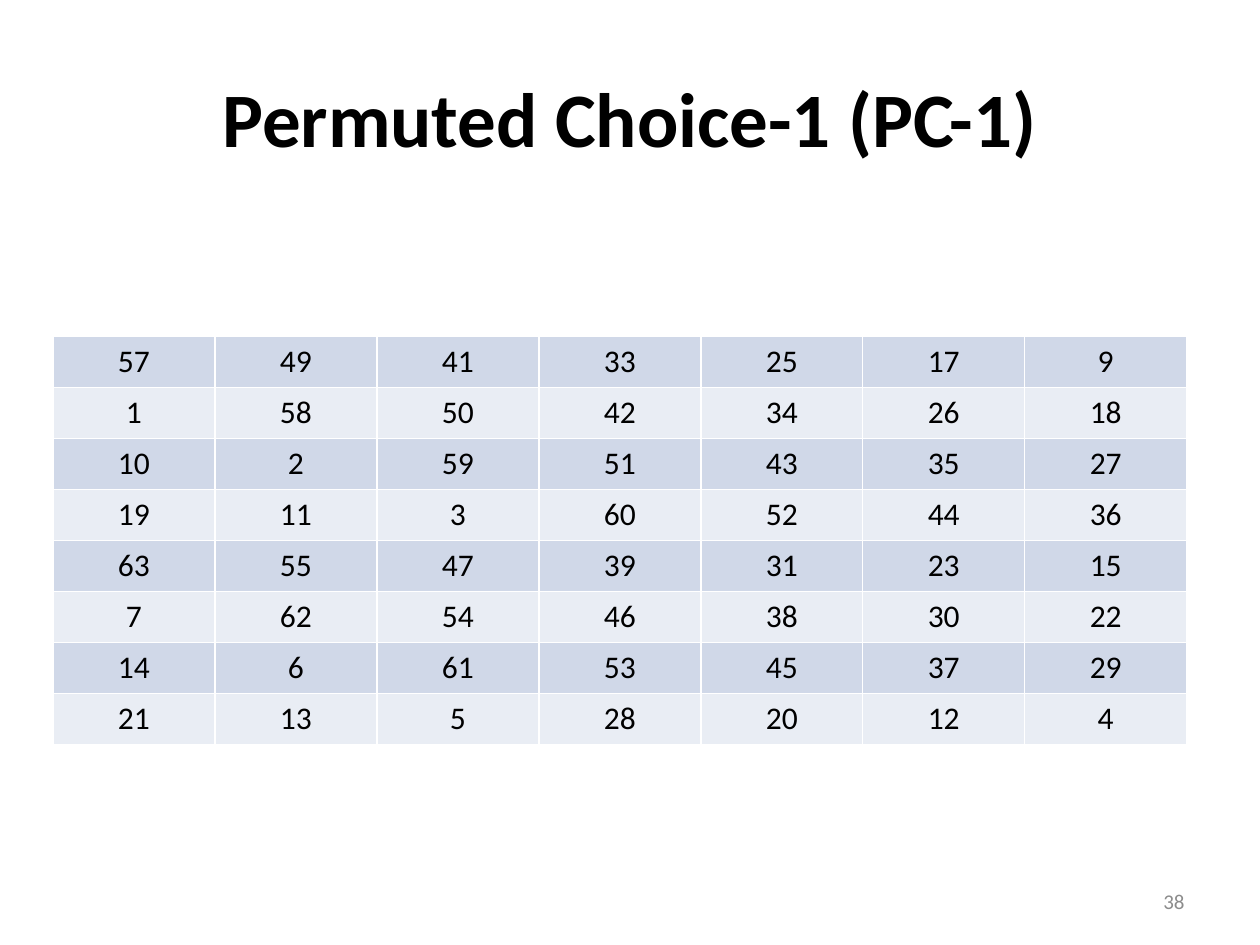
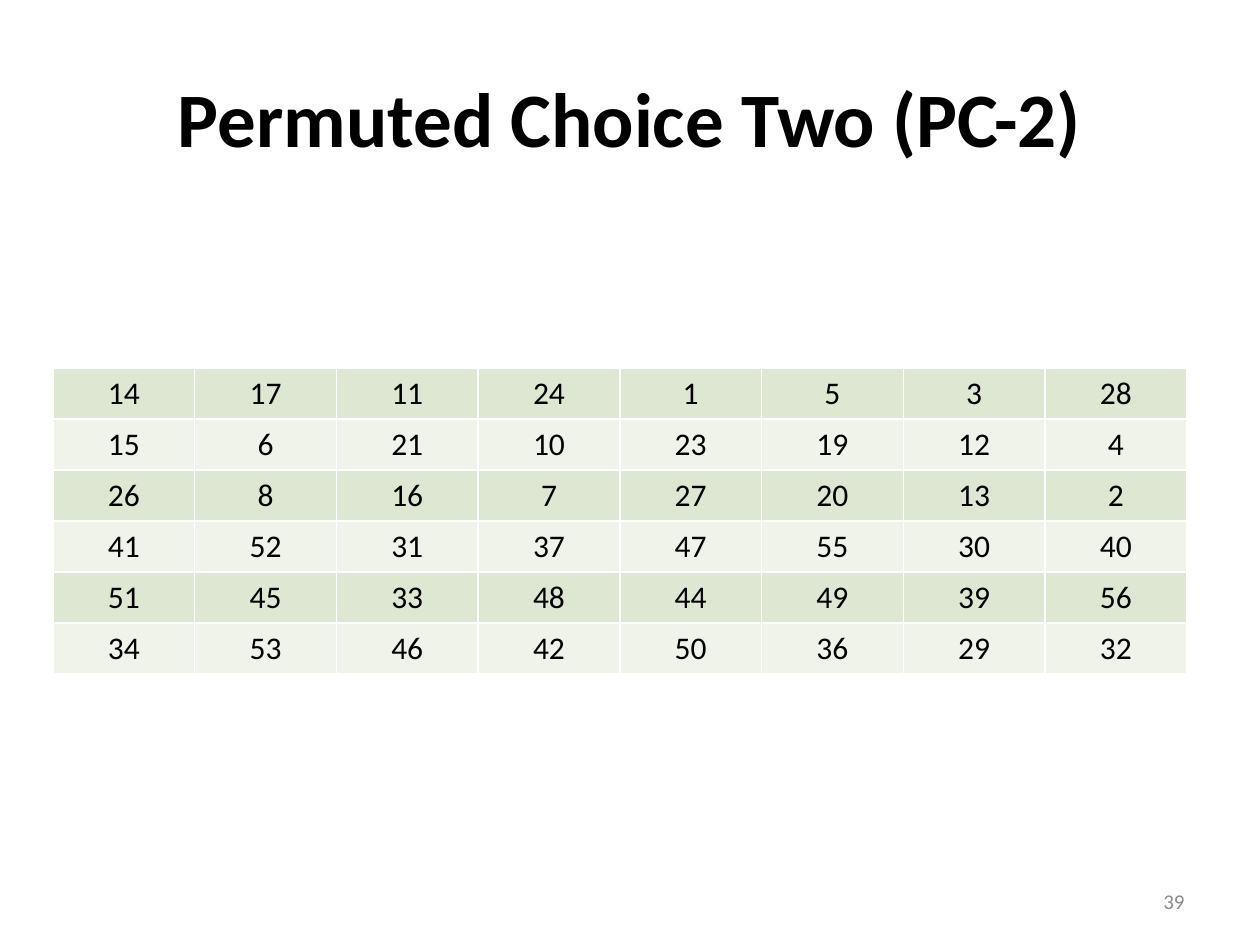
from dataclasses import dataclass

from lxml.etree import SubElement
from pptx import Presentation
from pptx.dml.color import RGBColor as RGB
from pptx.enum.text import MSO_ANCHOR as Anchor, PP_ALIGN as Align
from pptx.oxml.ns import qn
from pptx.util import Inches, Pt


@dataclass(frozen=True)
class Theme:
    font: str = "Calibri"
    ink: str = "000000"
    muted: str = "8C8C8C"
    paper: str = "FFFFFF"
    blue_bands: tuple = ("D0D8E8", "E9EDF4")
    green_bands: tuple = ("DEE7D1", "EFF3EA")
    title_size: int = 44
    table_size: int = 18
    number_size: int = 12
    border_width: int = 1


THEME = Theme()
TABLE_LEFT, TABLE_WIDTH, ROW_HEIGHT = 0.42, 9, 0.405

PC1_BITS = [
    [57, 49, 41, 33, 25, 17, 9],
    [1, 58, 50, 42, 34, 26, 18],
    [10, 2, 59, 51, 43, 35, 27],
    [19, 11, 3, 60, 52, 44, 36],
    [63, 55, 47, 39, 31, 23, 15],
    [7, 62, 54, 46, 38, 30, 22],
    [14, 6, 61, 53, 45, 37, 29],
    [21, 13, 5, 28, 20, 12, 4],
]
PC2_BITS = [
    [14, 17, 11, 24, 1, 5, 3, 28],
    [15, 6, 21, 10, 23, 19, 12, 4],
    [26, 8, 16, 7, 27, 20, 13, 2],
    [41, 52, 31, 37, 47, 55, 30, 40],
    [51, 45, 33, 48, 44, 49, 39, 56],
    [34, 53, 46, 42, 50, 36, 29, 32],
]
PAGES = [
    (38, "Permuted Choice-1 (PC-1)", PC1_BITS, 2.67, THEME.blue_bands),
    (39, "Permuted Choice Two (PC-2)", PC2_BITS, 2.92, THEME.green_bands),
]


def write(frame, text, size, align, color=THEME.ink, bold=False):
    """Put one styled paragraph into the text frame of a box or cell."""
    para = frame.paragraphs[0]
    para.text = text
    para.alignment = align
    para.font.name = THEME.font
    para.font.size = Pt(size)
    para.font.bold = bold
    para.font.color.rgb = RGB.from_string(color)


def add_borders(cell):
    properties = cell._tc.get_or_add_tcPr()
    for side in ("a:lnL", "a:lnR", "a:lnT", "a:lnB"):
        line = SubElement(properties, qn(side), w=str(Pt(THEME.border_width)))
        fill = SubElement(line, qn("a:solidFill"))
        SubElement(fill, qn("a:srgbClr"), val=THEME.paper)


deck = Presentation()
deck.slide_width, deck.slide_height = Inches(10), Inches(7.5)
blank = deck.slide_layouts[6]

for number, title, bits, table_top, bands in PAGES:
    page = deck.slides.add_slide(blank)
    page.background.fill.solid()
    page.background.fill.fore_color.rgb = RGB.from_string(THEME.paper)

    title_box = page.shapes.add_textbox(Inches(0.5), Inches(0.3), Inches(9), Inches(1.25))
    write(title_box.text_frame, title, THEME.title_size, Align.CENTER, bold=True)

    row_count, column_count = len(bits), len(bits[0])
    table = page.shapes.add_table(
        row_count, column_count, Inches(TABLE_LEFT), Inches(table_top),
        Inches(TABLE_WIDTH), Inches(ROW_HEIGHT * row_count),
    ).table
    table.first_row = False
    for row_index, row in enumerate(bits):
        for column_index, bit in enumerate(row):
            cell = table.cell(row_index, column_index)
            write(cell.text_frame, str(bit), THEME.table_size, Align.CENTER)
            add_borders(cell)
            cell.fill.solid()
            cell.fill.fore_color.rgb = RGB.from_string(bands[row_index % 2])

    number_box = page.shapes.add_textbox(Inches(7.17), Inches(6.95), Inches(2.33), Inches(0.4))
    write(number_box.text_frame, str(number), THEME.number_size, Align.RIGHT, THEME.muted)

    for box in (title_box, number_box):
        box.text_frame.word_wrap = True
        box.text_frame.vertical_anchor = Anchor.MIDDLE

deck.save("out.pptx")
